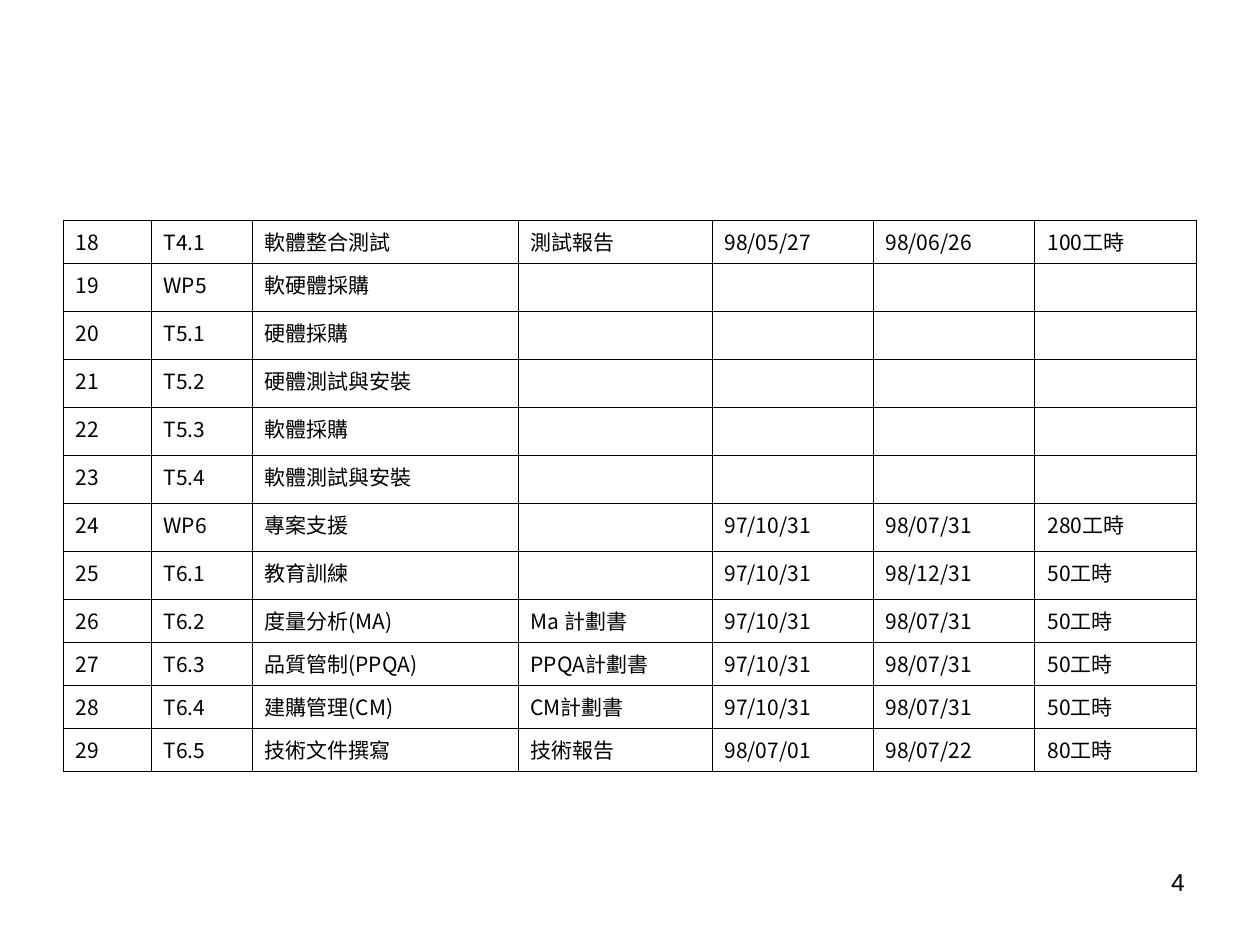
from lxml import etree
from pptx import Presentation
from pptx.dml.color import RGBColor
from pptx.enum.text import PP_ALIGN
from pptx.oxml.ns import qn
from pptx.util import Emu, Pt

PX_PER_INCH = 126
BLACK = RGBColor(0x00, 0x00, 0x00)
RIGHT = PP_ALIGN.RIGHT
TABLE_FONT = "Noto Sans CJK SC"
NUMBER_FONT = "Arial"
BORDER_WIDTH = Pt(0.45)

COLUMN_WIDTHS = [88, 101, 266, 194, 161, 162, 162]
FULL_ROW, OPEN_ROW = 43, 48  # rows with an empty cell are taller
TASKS = [
    ("18", "T4.1", "軟體整合測試", "測試報告", "98/05/27", "98/06/26", "100工時"),
    ("19", "WP5", "軟硬體採購", "", "", "", ""),
    ("20", "T5.1", "硬體採購", "", "", "", ""),
    ("21", "T5.2", "硬體測試與安裝", "", "", "", ""),
    ("22", "T5.3", "軟體採購", "", "", "", ""),
    ("23", "T5.4", "軟體測試與安裝", "", "", "", ""),
    ("24", "WP6", "專案支援", "", "97/10/31", "98/07/31", "280工時"),
    ("25", "T6.1", "教育訓練", "", "97/10/31", "98/12/31", "50工時"),
    ("26", "T6.2", "度量分析(MA)", "Ma 計劃書", "97/10/31", "98/07/31", "50工時"),
    ("27", "T6.3", "品質管制(PPQA)", "PPQA計劃書", "97/10/31", "98/07/31", "50工時"),
    ("28", "T6.4", "建購管理(CM)", "CM計劃書", "97/10/31", "98/07/31", "50工時"),
    ("29", "T6.5", "技術文件撰寫", "技術報告", "98/07/01", "98/07/22", "80工時"),
]


def px(length):
    return Emu(round(length * 914400 / PX_PER_INCH))


def add_text(paragraph, text, font_name, size):
    run = paragraph.add_run()
    run.text = text
    run.font.name = font_name
    run.font.size = Pt(size)
    run.font.color.rgb = BLACK
    etree.SubElement(run.font._element, qn("a:ea"), typeface=font_name)


def set_borders(cell):
    properties = cell._tc.get_or_add_tcPr()
    for side in ("a:lnL", "a:lnR", "a:lnT", "a:lnB"):
        line = etree.SubElement(properties, qn(side), w=str(BORDER_WIDTH))
        fill = etree.SubElement(line, qn("a:solidFill"))
        etree.SubElement(fill, qn("a:srgbClr"), val=str(BLACK))


def fill_cell(cell, text):
    set_borders(cell)
    cell.fill.background()
    paragraph = cell.text_frame.paragraphs[0]
    if text:
        add_text(paragraph, text, TABLE_FONT, 12)
    else:
        # Keeps the empty cell from stretching its row
        etree.SubElement(paragraph._p, qn("a:endParaRPr"), sz="1200")


def add_task_table(slide, left, top):
    heights = [FULL_ROW if all(task) else OPEN_ROW for task in TASKS]
    frame = slide.shapes.add_table(
        len(TASKS), len(COLUMN_WIDTHS), px(left), px(top),
        px(sum(COLUMN_WIDTHS)), px(sum(heights)))
    table = frame.table
    table.first_row = False
    table.horz_banding = False
    for column, width in zip(table.columns, COLUMN_WIDTHS):
        column.width = px(width)
    for row, height, task in zip(table.rows, heights, TASKS):
        row.height = px(height)
        for cell, text in zip(row.cells, task):
            fill_cell(cell, text)


def add_page_number(slide, left, top, width, height):
    box = slide.shapes.add_textbox(px(left), px(top), px(width), px(height))
    box.text_frame.word_wrap = True
    paragraph = box.text_frame.paragraphs[0]
    paragraph.alignment = RIGHT
    add_text(paragraph, "4", NUMBER_FONT, 14)


def main():
    presentation = Presentation()
    presentation.slide_width = px(1260)
    presentation.slide_height = px(945)
    slide = presentation.slides.add_slide(presentation.slide_layouts[6])

    # Task schedule
    add_task_table(slide, 63, 220)
    # Page number
    add_page_number(slide, 903, 861, 294, 66)

    presentation.save("out.pptx")


if __name__ == "__main__":
    main()
